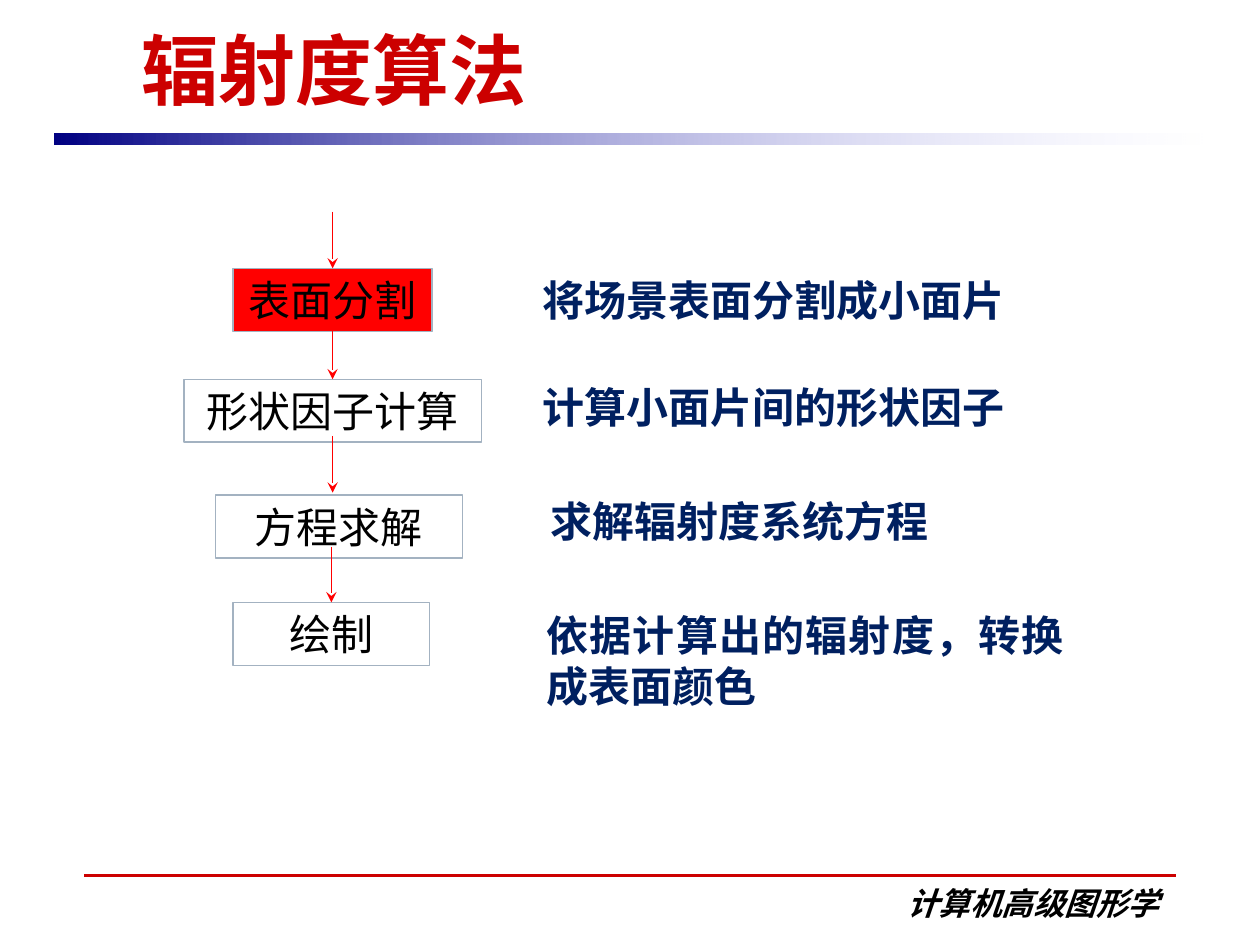
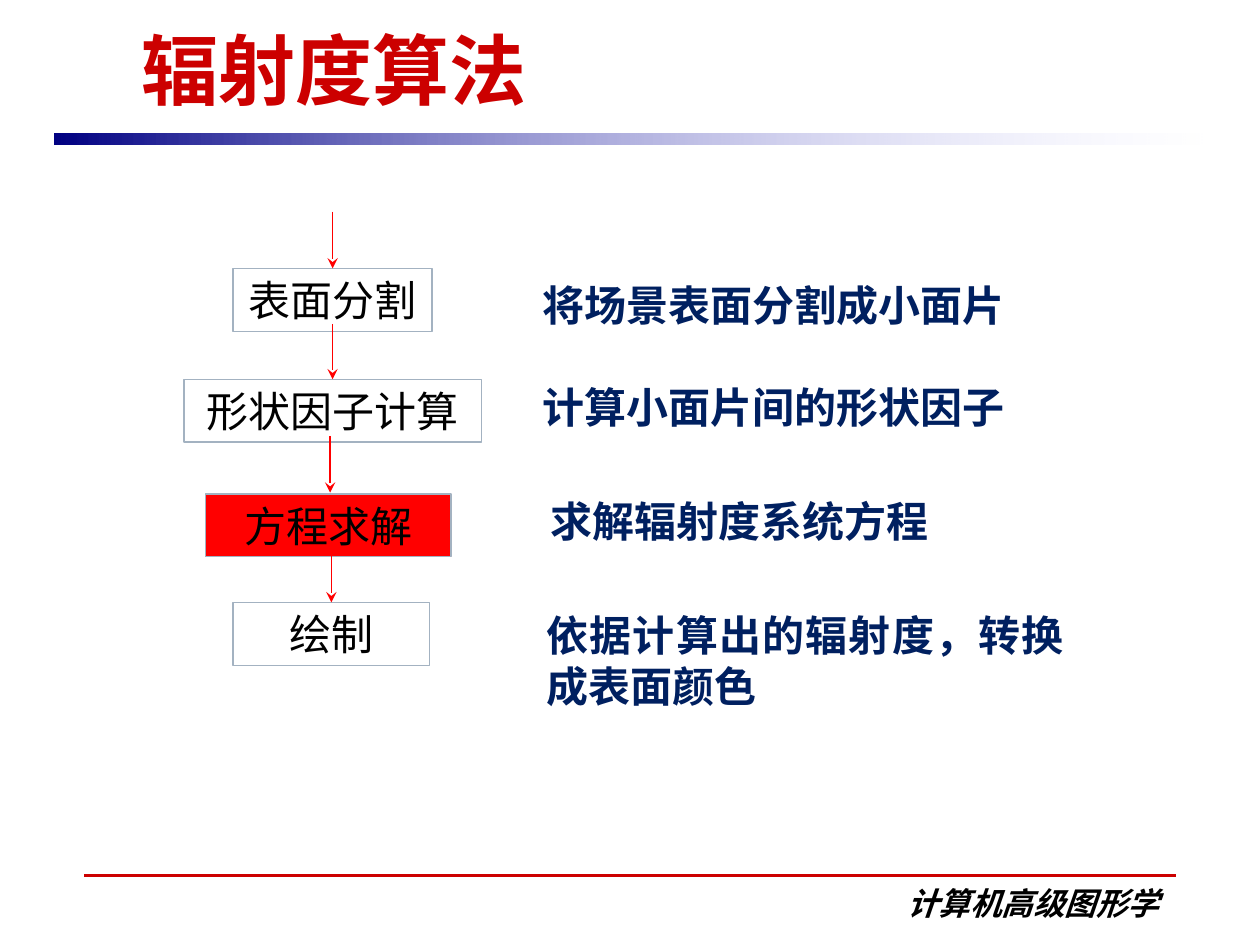
from lxml import etree
from pptx import Presentation
from pptx.dml.color import RGBColor
from pptx.enum.shapes import MSO_CONNECTOR, MSO_SHAPE
from pptx.enum.text import MSO_ANCHOR, MSO_AUTO_SIZE, PP_ALIGN
from pptx.oxml.ns import qn
from pptx.util import Inches, Pt

RED, ACCENT, NAVY, BLACK = "FF0000", "CC0000", "002060", "000000"
BOX_LINE = "A3B2C1"
ROW_H = 0.5

# Flow steps: label, left, top, width
STEPS = [
    ("表面分割", 1.85, 2.13, 1.58),
    ("形状因子计算", 1.46, 3.01, 2.36),
    ("方程求解", 1.71, 3.93, 1.96),
    ("绘制", 1.85, 4.78, 1.56),
]
ARROW_TOPS = [1.68, 2.57, 3.46, 4.34]

# Explanations: text, left, top, width, height
NOTES = [
    ("将场景表面分割成小面片", 4.21, 2.13, 4.73, ROW_H),
    ("计算小面片间的形状因子", 4.21, 2.98, 4.33, ROW_H),
    ("求解辐射度系统方程", 4.27, 3.88, 3.38, ROW_H),
    ("依据计算出的辐射度，转换成表面颜色", 4.24, 4.79, 4.3, 0.9),
]


def rgb(color):
    return RGBColor.from_string(color)


class Deck:
    """Holds the shared style and the current slide."""

    def __init__(self):
        self.prs = Presentation()
        self.prs.slide_width, self.prs.slide_height = Inches(10), Inches(7.5)
        self.slide = None

    def new_slide(self, title):
        self.slide = self.prs.slides.add_slide(self.prs.slide_layouts[5])
        # Footer rule, gradient band and course name
        self.line((0.67, 6.95), (9.33, 6.95), ACCENT, 1.75)
        self.band(0.43, 1.06, 9.14, 0.09)
        self.text("计算机高级图形学", 6.58, 6.97, 2.72, 0.4, PP_ALIGN.RIGHT,
                  18, BLACK, "Noto Sans CJK SC", space=11.2, italic=True)
        # Title
        sp = self.slide.shapes.title
        sp.left, sp.top = Inches(1.02), Inches(0.13)
        sp.width, sp.height = Inches(8.35), Inches(0.83)
        self.set_text(sp, title, PP_ALIGN.LEFT, 44, ACCENT, "Times New Roman",
                      anchor=MSO_ANCHOR.BOTTOM)

    def set_text(self, sp, text, align, size, color, font="Arial", bold=True,
                 italic=False, space=0, anchor=MSO_ANCHOR.TOP):
        tf = sp.text_frame
        tf.text = text
        tf.word_wrap = True
        tf.auto_size = MSO_AUTO_SIZE.SHAPE_TO_FIT_TEXT
        tf.vertical_anchor = anchor
        p = tf.paragraphs[0]
        p.alignment, p.space_before = align, Pt(space)
        f = p.font
        f.name, f.size, f.bold, f.italic = font, Pt(size), bold, italic
        f.color.rgb = rgb(color)

    def text(self, text, x, y, w, h, align, size, color, font="Arial",
             space=15, italic=False):
        sp = self.slide.shapes.add_textbox(Inches(x), Inches(y), Inches(w), Inches(h))
        self.set_text(sp, text, align, size, color, font, italic=italic, space=space)

    def rect(self, x, y, w, h):
        sp = self.slide.shapes.add_shape(
            MSO_SHAPE.RECTANGLE, Inches(x), Inches(y), Inches(w), Inches(h))
        sp.shadow.inherit = False
        return sp

    def band(self, x, y, w, h):
        sp = self.rect(x, y, w, h)
        sp.line.fill.background()
        sp.fill.gradient()
        sp.fill.gradient_angle = 0
        for stop, color, place in zip(sp.fill.gradient_stops, ("000082", "CCCCFF"), (0, 1)):
            stop.color.rgb, stop.position = rgb(color), place
        # The band fades out to the right
        last = list(sp._element.spPr.iter(qn("a:srgbClr")))[-1]
        etree.SubElement(last, qn("a:alpha")).set("val", "0")

    def step(self, label, x, y, w, active):
        sp = self.rect(x, y, w, ROW_H)
        if active:
            sp.fill.solid()
            sp.fill.fore_color.rgb = rgb(RED)
        else:
            sp.fill.background()
        sp.line.color.rgb, sp.line.width = rgb(BOX_LINE), Pt(0.75)
        self.set_text(sp, label, PP_ALIGN.CENTER, 24, BLACK, bold=False, space=15)
        return sp

    def line(self, start, end, color, width):
        c = self.slide.shapes.add_connector(
            MSO_CONNECTOR.STRAIGHT, *map(Inches, start + end))
        c.line.color.rgb, c.line.width = rgb(color), Pt(width)
        etree.SubElement(c._element.spPr, qn("a:effectLst"))
        return c

    def arrow(self, x, top, bottom, target=None):
        c = self.line((x, top), (x, bottom), RED, 0.75)
        ln = c._element.spPr.find(qn("a:ln"))
        etree.SubElement(ln, qn("a:tailEnd")).set("type", "stealth")
        if target is not None:
            c.end_connect(target, 0)

    def flow(self, steps, active, solve_x):
        """Draw the steps; the arrow to the solving step stops short at solve_x."""
        for i, ((label, x, y, w), top) in enumerate(zip(steps, ARROW_TOPS)):
            sp = self.step(label, x, y, w, i == active)
            if i == 2:
                self.arrow(solve_x, top, 3.91)
            else:
                self.arrow(x + w / 2, top, y, sp)

    def notes(self, notes):
        for note in notes:
            self.text(*note, PP_ALIGN.JUSTIFY, 24, NAVY)


def main():
    deck = Deck()

    # Slide 1: surface subdivision
    deck.new_slide("辐射度算法")
    deck.flow(STEPS, active=0, solve_x=2.64)
    deck.notes(NOTES)

    # Slide 2: solving the equations, with a few places shifted
    steps, notes = list(STEPS), list(NOTES)
    steps[2] = ("方程求解", 1.63, 3.92, 1.95)
    notes[0] = (NOTES[0][0], 4.21, 2.17, 3.94, ROW_H)
    notes[1] = (NOTES[1][0], 4.21, 2.98, 3.94, ROW_H)
    deck.new_slide("辐射度算法")
    deck.flow(steps, active=2, solve_x=2.62)
    deck.notes(notes)

    deck.prs.save("out.pptx")


if __name__ == "__main__":
    main()
